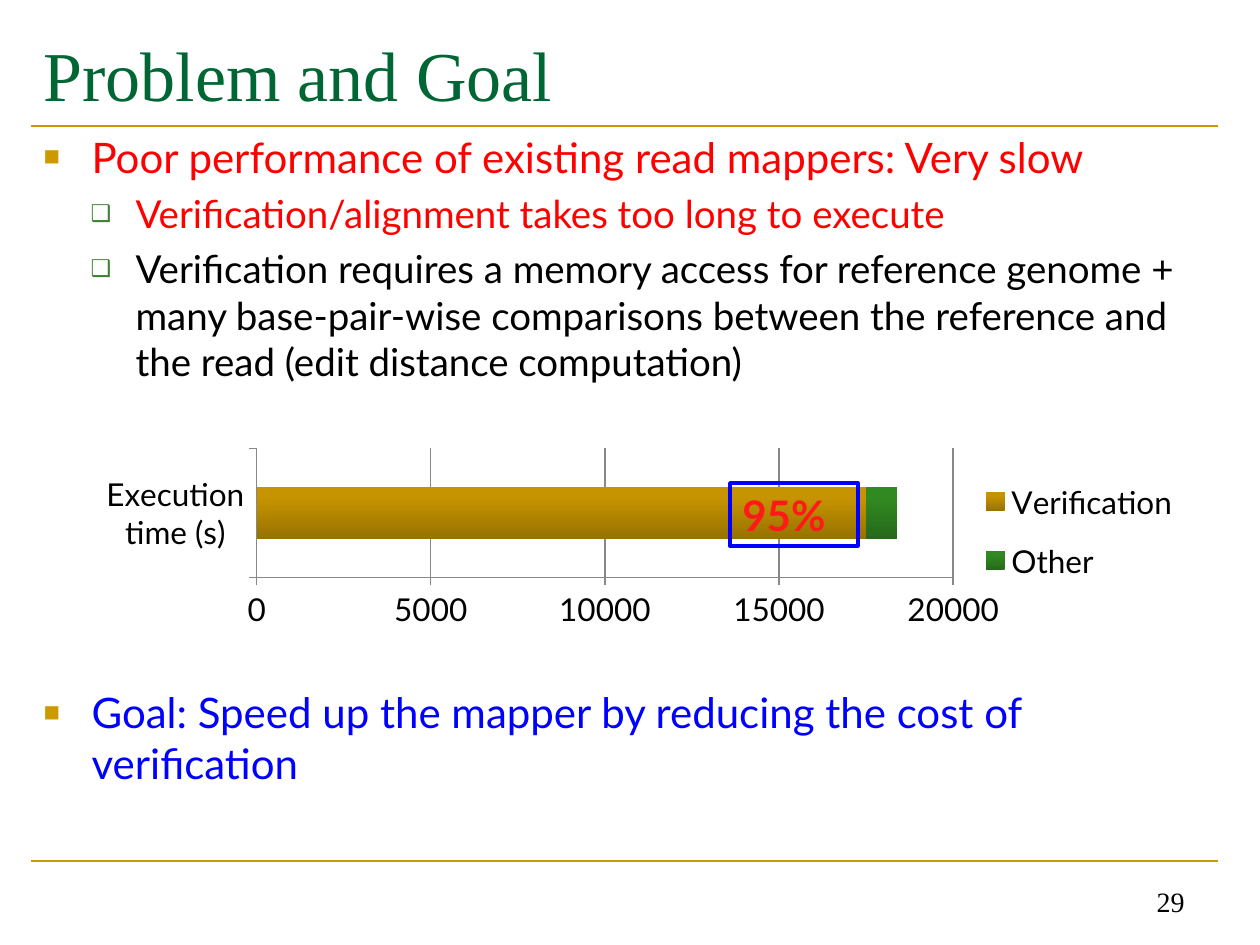
import dataclasses

import lxml.etree
import pptx
import pptx.chart.data
import pptx.dml.color
import pptx.enum.chart
import pptx.enum.shapes
import pptx.enum.text
import pptx.oxml
import pptx.oxml.ns
import pptx.util

EMU_PER_PX = 914400 / 126


@dataclasses.dataclass(frozen=True)
class Theme:
    title_font: str = "Times New Roman"
    body_font: str = "Lato"
    title_size: int = 40
    text_size: int = 24
    detail_size: int = 22
    chart_size: int = 18
    number_size: int = 16
    title: str = "006633"
    gold: str = "CC9900"
    green: str = "3B812F"
    alert: str = "FF0000"
    share: str = "FF1919"
    goal: str = "0000FF"
    text: str = "000000"
    axis: str = "888888"
    verification_bar: tuple = ("987200", "C69400")
    other_bar: tuple = ("26691A", "318922")


THEME = Theme()


def px(value):
    return pptx.util.Emu(round(value * EMU_PER_PX))


def rgb(value):
    return pptx.dml.color.RGBColor.from_string(value)


def place(shape, left, top, width, height):
    shape.left, shape.top, shape.width, shape.height = map(px, (left, top, width, height))


def style_font(font, name, size, color, bold=False):
    font.name = name
    font.size = pptx.util.Pt(size)
    font.bold = bold
    font.color.rgb = rgb(color)


def style_line(line, color, width):
    line.color.rgb = rgb(color)
    line.width = pptx.util.Pt(width)


def add_rule(slide, y):
    rule = slide.shapes.add_connector(
        pptx.enum.shapes.MSO_CONNECTOR.STRAIGHT, px(31), px(y), px(1218), px(y))
    style_line(rule.line, THEME.gold, 1.5)
    lxml.etree.SubElement(rule._element.spPr, pptx.oxml.ns.qn("a:effectLst"))


def add_title(slide, text):
    title = slide.shapes.title
    place(title, 31, 21, 1187, 105)
    frame = title.text_frame
    frame.text = text
    frame.auto_size = pptx.enum.text.MSO_AUTO_SIZE.NONE
    frame.vertical_anchor = pptx.enum.text.MSO_ANCHOR.MIDDLE
    paragraph = frame.paragraphs[0]
    paragraph.alignment = pptx.enum.text.PP_ALIGN.LEFT
    style_font(paragraph.runs[0].font, THEME.title_font, THEME.title_size, THEME.title)


def set_bullet(paragraph, character, color, percent, margin, indent):
    properties = paragraph._p.get_or_add_pPr()
    properties.set("marL", str(px(margin)))
    properties.set("indent", str(-px(indent)))
    namespace = pptx.oxml.ns.nsdecls("a")
    for xml in (
        f'<a:buClr {namespace}><a:srgbClr val="{color}"/></a:buClr>',
        f'<a:buSzPct {namespace} val="{percent * 1000}"/>',
        f'<a:buChar {namespace} char="{character}"/>',
    ):
        properties.append(pptx.oxml.parse_xml(xml))


def add_bullets(slide, items):
    body = slide.placeholders[1]
    place(body, 31, 125, 1187, 736)
    frame = body.text_frame
    frame.text = "\n".join(text for text, *_ in items)
    frame.auto_size = pptx.enum.text.MSO_AUTO_SIZE.NONE
    frame.vertical_anchor = pptx.enum.text.MSO_ANCHOR.TOP
    for paragraph, (_, level, color, space_before) in zip(frame.paragraphs, items):
        paragraph.level = level
        if level:
            set_bullet(paragraph, "❑", THEME.green, 60, 92, 45)
        else:
            set_bullet(paragraph, "■", THEME.gold, 65, 48, 48)
        paragraph.space_before = pptx.util.Pt(space_before)
        size = THEME.detail_size if level else THEME.text_size
        style_font(paragraph.runs[0].font, THEME.body_font, size, color)


def set_layout(element, x, y, width, height, inner=False):
    tag = pptx.oxml.ns.qn
    for old in element.findall(tag("c:layout")):
        element.remove(old)
    target = '<c:layoutTarget val="inner"/>' if inner else ""
    values = "".join(
        f'<c:{name} val="{value}"/>'
        for name, value in (("xMode", "edge"), ("yMode", "edge"),
                            ("x", x), ("y", y), ("w", width), ("h", height)))
    layout = pptx.oxml.parse_xml(
        f'<c:layout {pptx.oxml.ns.nsdecls("c")}>'
        f"<c:manualLayout>{target}{values}</c:manualLayout></c:layout>")
    position = element.find(tag("c:legendPos"))
    element.insert(0 if position is None else element.index(position) + 1, layout)


def style_axis(axis):
    style_font(axis.tick_labels.font, THEME.body_font, THEME.chart_size, THEME.text)
    style_line(axis.format.line, THEME.axis, 0.75)
    axis.major_tick_mark = pptx.enum.chart.XL_TICK_MARK.OUTSIDE
    axis.minor_tick_mark = pptx.enum.chart.XL_TICK_MARK.NONE


def add_time_chart(slide):
    data = pptx.chart.data.CategoryChartData()
    data.categories = ["Execution time (s)"]
    data.add_series("Verification", [17500])
    data.add_series("Other", [900])
    chart = slide.shapes.add_chart(
        pptx.enum.chart.XL_CHART_TYPE.BAR_STACKED,
        px(74), px(442), px(1142), px(215), data).chart
    style_font(chart.font, THEME.body_font, THEME.chart_size, THEME.text)
    chart.has_title = False
    style_axis(chart.category_axis)
    axis = chart.value_axis
    style_axis(axis)
    axis.minimum_scale, axis.maximum_scale, axis.major_unit = 0, 20000, 5000
    axis.has_major_gridlines = True
    style_line(axis.major_gridlines.format.line, THEME.axis, 0.75)
    plot = chart.plots[0]
    plot.gap_width, plot.overlap, plot.vary_by_categories = 150, 100, False
    for series, (dark, bright) in zip(plot.series, (THEME.verification_bar, THEME.other_bar)):
        series.invert_if_negative = False
        fill = series.format.fill
        fill.gradient()
        fill.gradient_angle = 90
        for stop, position, color in zip(fill.gradient_stops, (0, 0.8), (dark, bright)):
            stop.position = position
            stop.color.rgb = rgb(color)
    chart.has_legend = True
    legend = chart.legend
    legend.position = pptx.enum.chart.XL_LEGEND_POSITION.RIGHT
    legend.include_in_layout = False
    style_font(legend.font, THEME.body_font, THEME.chart_size, THEME.text)
    set_layout(legend._element, 0.78, 0.09, 0.2, 0.65)
    set_layout(chart._chartSpace.chart.plotArea, 0.16, 0.03, 0.61, 0.6, inner=True)


def add_share_box(slide, text):
    box = slide.shapes.add_shape(
        pptx.enum.shapes.MSO_SHAPE.RECTANGLE, px(730), px(483), px(128), px(63))
    box.shadow.inherit = False
    box.fill.background()
    style_line(box.line, THEME.goal, 2)
    box.text_frame.text = text
    paragraph = box.text_frame.paragraphs[0]
    paragraph.alignment = pptx.enum.text.PP_ALIGN.LEFT
    style_font(paragraph.runs[0].font, THEME.body_font, THEME.text_size, THEME.share, bold=True)


def add_page_number(slide, text):
    frame = slide.shapes.add_textbox(px(903), px(861), px(294), px(63)).text_frame
    frame.word_wrap = True
    frame.vertical_anchor = pptx.enum.text.MSO_ANCHOR.BOTTOM
    frame.text = text
    paragraph = frame.paragraphs[0]
    paragraph.alignment = pptx.enum.text.PP_ALIGN.RIGHT
    style_font(paragraph.runs[0].font, THEME.title_font, THEME.number_size, THEME.text)


def main():
    presentation = pptx.Presentation()
    presentation.slide_width, presentation.slide_height = px(1260), px(945)
    slide = presentation.slides.add_slide(presentation.slide_layouts[1])
    for y in (861, 126):
        add_rule(slide, y)
    add_title(slide, "Problem and Goal")
    add_bullets(slide, [
        ("Poor performance of existing read mappers: Very slow", 0, THEME.alert, 0),
        ("Verification/alignment takes too long to execute", 1, THEME.alert, 5),
        ("Verification requires a memory access for reference genome + many base-pair-wise "
         "comparisons between the reference and the read (edit distance computation)",
         1, THEME.text, 5),
        ("Goal: Speed up the mapper by reducing the cost of verification", 0, THEME.goal, 173),
    ])
    add_page_number(slide, "29")
    add_time_chart(slide)
    add_share_box(slide, "95%")
    presentation.save("out.pptx")


if __name__ == "__main__":
    main()
